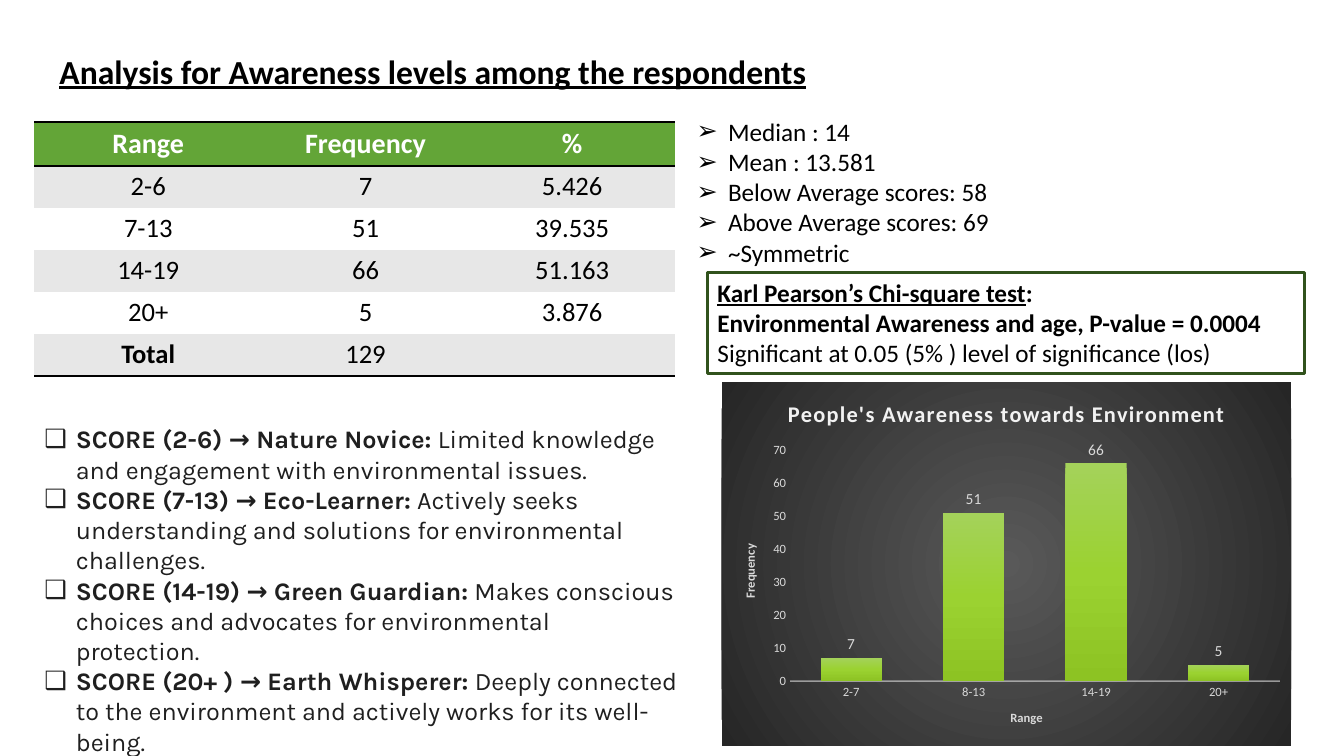
import pptx
import pptx.chart.data
import pptx.dml.color
import pptx.enum.chart
import pptx.enum.shapes
import pptx.enum.text
import pptx.oxml
import pptx.oxml.ns
import pptx.util

Pt = pptx.util.Pt
qn = pptx.oxml.ns.qn
ALIGN = pptx.enum.text.PP_ALIGN
NS = pptx.oxml.ns.nsdecls("a", "c")
INK = {
    "black": "000000", "white": "FFFFFF", "text": "1F1F1F", "head": "63A537",
    "band": "E7E7E7", "frame": "31521C", "label": "D9D9D9", "pale": "F2F2F2",
}
BAR = ((0, "A4D25A"), (50, "9BD231"), (100, "8DC323"))
DARK = ((0, "595959"), (100, "262626"))
ROWS = (
    ("Range", "Frequency", "%"), ("2-6", "7", "5.426"), ("7-13", "51", "39.535"),
    ("14-19", "66", "51.163"), ("20+", "5", "3.876"), ("Total", "129", ""),
)
SCORES = (
    ("SCORE (2-6) → Nature Novice:",
     " Limited knowledge and engagement with environmental issues."),
    ("SCORE (7-13) → Eco-Learner:",
     " Actively seeks understanding and solutions for environmental challenges."),
    ("SCORE (14-19) → Green Guardian:",
     " Makes conscious choices and advocates for environmental protection."),
    ("SCORE (20+ ) → Earth Whisperer:",
     " Deeply connected to the environment and actively works for its well-being."),
)
STATS = ("Median : 14", "Mean : 13.581", "Below Average scores: 58",
         "Above Average scores: 69", "~Symmetric")
COUNTS = {"2-7": 7, "8-13": 51, "14-19": 66, "20+": 5}


def rgb(name):
    """Return the named colour."""
    return pptx.dml.color.RGBColor.from_string(INK[name])


def style(font, size, ink, bold=False, line=False, face="Calibri"):
    """Set the look of a font."""
    font.size, font.name, font.bold, font.underline = Pt(size), face, bold, line
    font.color.rgb = rgb(ink)


def write(para, text, *look, **more):
    """Add one styled run."""
    run = para.add_run()
    run.text = text
    style(run.font, *look, **more)


def place(shape, box):
    """Move a shape into a box and prepare its text frame."""
    shape.left, shape.top, shape.width, shape.height = (Pt(v) for v in box)
    frame = shape.text_frame
    frame.word_wrap = True
    frame.auto_size = pptx.enum.text.MSO_AUTO_SIZE.NONE
    frame.vertical_anchor = pptx.enum.text.MSO_ANCHOR.TOP
    return frame


def lines(frame, items, mark=None):
    """Add paragraphs made of (text, look, extras) runs."""
    for i, runs in enumerate(items):
        para = frame.add_paragraph() if i else frame.paragraphs[0]
        para.alignment = ALIGN.LEFT
        para.space_before = para.space_after = Pt(0)
        if mark:
            props = para._p.get_or_add_pPr()
            props.set("marL", str(Pt(22.5)))
            props.set("indent", str(-Pt(22.5)))
            props.append(pptx.oxml.parse_xml(f'<a:buChar {NS} char="{mark}"/>'))
        for text, look, more in runs:
            write(para, text, *look, **more)


def edge(cell, side):
    """Draw a black border on one side of a cell."""
    cell._tc.get_or_add_tcPr().insert(0, pptx.oxml.parse_xml(
        f'<a:{side} {NS} w="{Pt(2)}"><a:solidFill><a:srgbClr val="{INK["black"]}"/>'
        f'</a:solidFill></a:{side}>'))


def grid(slide, box):
    """Build the frequency table."""
    shape = slide.shapes.add_table(len(ROWS), 3, *(Pt(v) for v in box))
    shape.element.find(".//" + qn("a:tableStyleId")).text = (
        "{2D5ABB26-0587-4C30-8999-92F81FD0307C}")
    table = shape.table
    for col, wide in zip(table.columns, (162.8, 147.6, 147.6)):
        col.width = Pt(wide)
    for r, row in enumerate(ROWS):
        head, last = r == 0, r == len(ROWS) - 1
        table.rows[r].height = Pt(31.4 if head else 30)
        for c, text in enumerate(row):
            cell = table.cell(r, c)
            cell.margin_top = cell.margin_bottom = Pt(2)
            cell.vertical_anchor = pptx.enum.text.MSO_ANCHOR.MIDDLE
            cell.fill.solid()
            cell.fill.fore_color.rgb = rgb(
                "head" if head else "band" if r % 2 or last else "white")
            para = cell.text_frame.paragraphs[0]
            para.alignment = ALIGN.CENTER
            if text:
                write(para, text, 20 if head else 19, "white" if head else "black",
                      head or text == "Total")
            if head or last:
                edge(cell, "lnB")
            if head:
                edge(cell, "lnT")


def blend(stops, shade):
    """Return a gradient fill element."""
    steps = "".join(f'<a:gs pos="{pos * 1000}"><a:srgbClr val="{hue}"/></a:gs>'
                    for pos, hue in stops)
    return pptx.oxml.parse_xml(
        f'<a:gradFill {NS}><a:gsLst>{steps}</a:gsLst>{shade}</a:gradFill>')


def name(owner, text, size, ink):
    """Give a chart or axis its title."""
    para = owner.text_frame.paragraphs[0]
    write(para, text, size, ink, True)
    return para.runs[0]


def graph(slide, box):
    """Build the column chart on its dark ground."""
    data = pptx.chart.data.CategoryChartData()
    data.categories = list(COUNTS)
    data.add_series("Series 1", list(COUNTS.values()))
    kind = pptx.enum.chart.XL_CHART_TYPE.COLUMN_CLUSTERED
    chart = slide.shapes.add_chart(kind, *(Pt(v) for v in box), data).chart
    style(chart.font, 10, "black")
    chart.has_legend = False
    run = name(chart.chart_title, "People's Awareness towards Environment", 16, "pale")
    run.font._element.set("spc", "100")
    chart.chart_title.include_in_layout = False
    for axis, text in ((chart.category_axis, "Range"), (chart.value_axis, "Frequency")):
        name(axis.axis_title, text, 9, "label")
        style(axis.tick_labels.font, 9, "label")
        axis.major_tick_mark = pptx.enum.chart.XL_TICK_MARK.NONE
        axis.has_major_gridlines = False
    base = chart.category_axis.format.line
    base.width = Pt(1)
    base.color.rgb = rgb("pale")
    hue = chart.element.find(".//" + qn("c:catAx") + "/" + qn("c:spPr")
                             + "//" + qn("a:srgbClr"))
    hue.append(pptx.oxml.parse_xml(f'<a:alpha {NS} val="54000"/>'))
    chart.value_axis.format.line.fill.background()
    plot = chart.plots[0]
    plot.gap_width, plot.overlap, plot.vary_by_categories = 100, -24, False
    bars = plot.series[0]
    bars.invert_if_negative = False
    bars.format.fill.solid()
    props = chart.element.find(".//" + qn("c:ser") + "/" + qn("c:spPr"))
    props.replace(props[0], blend(BAR, '<a:lin ang="5400000" scaled="0"/>'))
    tags = bars.data_labels
    tags.show_value = True
    tags.position = pptx.enum.chart.XL_LABEL_POSITION.OUTSIDE_END
    style(tags.font, 11, "label")
    ground = pptx.oxml.parse_xml(f'<c:spPr {NS}><a:ln><a:noFill/></a:ln></c:spPr>')
    ground.insert(0, blend(DARK, '<a:path path="circle"><a:fillToRect l="50000" '
                                 't="50000" r="50000" b="50000"/></a:path>'))
    chart.element.find(qn("c:chart")).addnext(ground)


def test(slide, box):
    """Build the framed test result."""
    shape = slide.shapes.add_shape(
        pptx.enum.shapes.MSO_SHAPE.RECTANGLE, *(Pt(v) for v in box))
    shape.shadow.inherit = False
    shape.fill.background()
    shape.line.color.rgb = rgb("frame")
    shape.line.width = Pt(2.25)
    bold, plain = (18, "black", True), (18, "black")
    lines(place(shape, box), (
        (("Karl Pearson’s Chi-square test", bold, {"line": True}), (":", bold, {})),
        (("Environmental Awareness and age, P-value = 0.0004", bold, {}),),
        (("Significant at 0.05 (5% ) level of significance (los)", plain, {}),),
    ))


def main():
    """Build and save the slide."""
    deck = pptx.Presentation()
    deck.slide_width, deck.slide_height = Pt(960), Pt(540)
    slide = deck.slides.add_slide(deck.slide_layouts[3])
    title, left, right = slide.placeholders
    lines(place(title, (35.3, 32.4, 666.7, 36)), (
        (("Analysis for Awareness levels among the respondents",
          (24, "black", True), {"line": True}),),))
    face = {"face": "Karla"}
    lines(place(left, (24.5, 299, 468, 181.5)), [
        ((rank, (18, "text", True), face), (note, (18, "text"), face))
        for rank, note in SCORES], "❑")
    lines(place(right, (490.3, 79.2, 491.8, 116.6)), [
        ((stat, (18, "black"), {}),) for stat in STATS], "➢")
    grid(slide, (24.5, 87.1, 458, 181.4))
    graph(slide, (515.5, 272.9, 406.8, 260))
    test(slide, (505.4, 194.4, 426.2, 72.7))
    deck.save("out.pptx")


if __name__ == "__main__":
    main()
